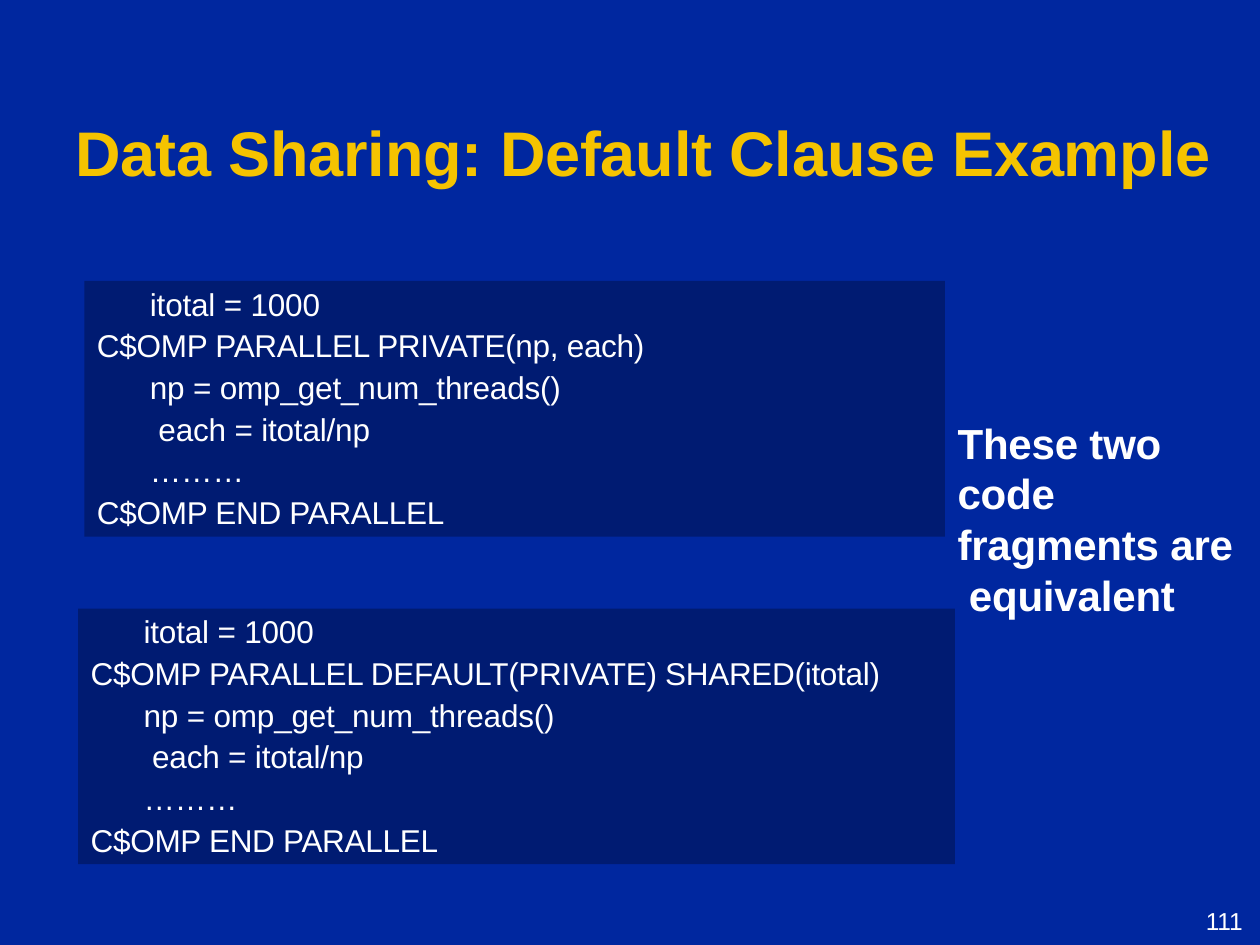
"""Build the slide comparing two equivalent data sharing clauses."""
from pptx import Presentation
from pptx.dml.color import RGBColor
from pptx.enum.shapes import MSO_SHAPE
from pptx.enum.text import MSO_ANCHOR, MSO_AUTO_SIZE, PP_ALIGN
from pptx.util import Inches, Pt

RECT = MSO_SHAPE.RECTANGLE
TOP = MSO_ANCHOR.TOP
FIXED = MSO_AUTO_SIZE.NONE
LEFT = PP_ALIGN.LEFT

HUES = {"back": "00279F", "code": "001B72", "gold": "F5C300", "white": "FFFFFF"}
TITLE = "Data Sharing: Default Clause Example"
NOTE = [("These two code fragments are", 0.01), ("equivalent", 0.1)]
PAGE = [("111", 0.04)]
BODY = [
    ("np = omp_get_num_threads()\v each = itotal/np", 0.52),
    ("………", 0.52),
    ("C$OMP END PARALLEL", 0.1),
]
CODE = [
    ("C$OMP PARALLEL PRIVATE(np, each)", (0.67, 2.23, 6.83, 2.03)),
    ("C$OMP PARALLEL DEFAULT(PRIVATE) SHARED(itotal)", (0.62, 4.83, 6.96, 2.03)),
]


def tint(name):
    return RGBColor.from_string(HUES[name])


def write(shape, lines, size, inset=0, lead=None, hue="white", bold=False, wrap=True):
    frame = shape.text_frame
    frame.auto_size = FIXED
    frame.word_wrap = wrap
    frame.vertical_anchor = TOP
    frame.margin_left = frame.margin_right = frame.margin_bottom = 0
    frame.margin_top = Inches(inset)
    for i, (text, indent) in enumerate(lines):
        para = frame.add_paragraph() if i else frame.paragraphs[0]
        para.text = text
        props = para._p.get_or_add_pPr()
        props.set("marL", str(Inches(indent)))
        props.set("indent", "0")
        para.alignment = LEFT
        para.space_before = Pt(0)
        if lead:
            para.line_spacing = Pt(lead)
        font = para.font
        font.name, font.size, font.bold = "Arial", Pt(size), bold
        font.color.rgb = tint(hue)
        for run in para.runs:
            gap = "-18" if text.startswith("C$OMP") else "-10"
            run._r.get_or_add_rPr().set("spc", gap)


def place(*box):
    return [Inches(n) for n in box]


def main():
    deck = Presentation()
    deck.slide_width, deck.slide_height = place(10, 7.5)
    slide = deck.slides.add_slide(deck.slide_layouts[5])
    fill = slide.background.fill
    fill.solid()
    fill.fore_color.rgb = tint("back")

    title = slide.shapes.title
    title.left, title.top, title.width, title.height = place(0.59, 0.84, 9.08, 0.63)
    write(title, [(TITLE, 0.01)], 36, 0.06, hue="gold", bold=True, wrap=False)

    for clause, box in CODE:
        panel = slide.shapes.add_shape(RECT, *place(*box))
        panel.shadow.inherit = False
        panel.fill.solid()
        panel.fill.fore_color.rgb = tint("code")
        panel.line.fill.background()
        write(panel, [("itotal = 1000", 0.52), (clause, 0.1), *BODY], 18, lead=23.8)

    note = slide.shapes.add_textbox(*place(7.59, 3.28, 2.3, 1.63))
    write(note, NOTE, 24, 0.03, lead=28.9, bold=True)
    page = slide.shapes.add_textbox(*place(9.53, 7.14, 0.41, 0.33))
    write(page, PAGE, 14, 0.05)
    deck.save("out.pptx")


if __name__ == "__main__":
    main()
